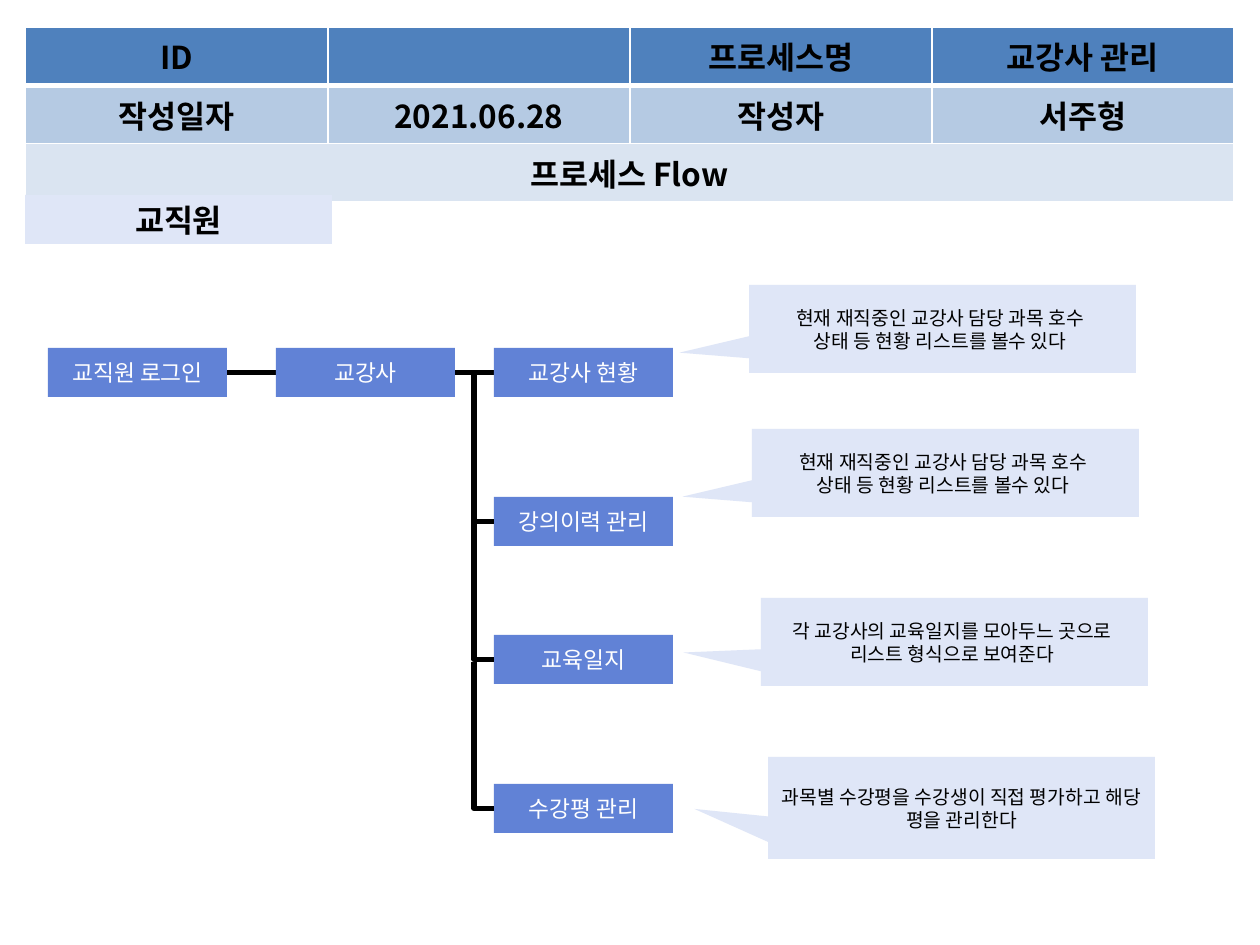
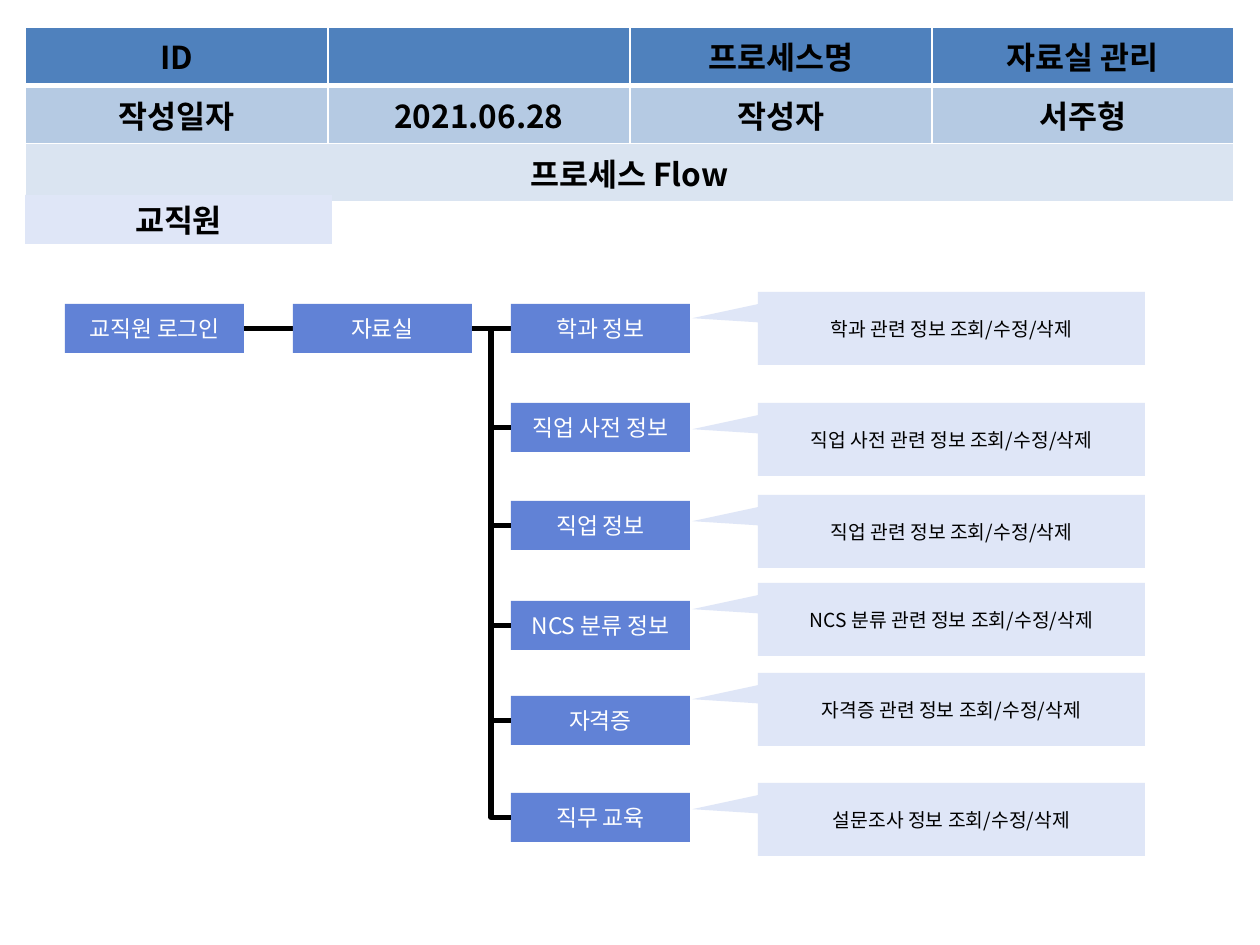
"""Build two process-flow slides for the staff area of a school system."""
from dataclasses import dataclass

from lxml import etree
from pptx import Presentation
from pptx import util as u
from pptx.dml.color import RGBColor
from pptx.enum import shapes, text
from pptx.oxml import ns

PX = 914400 // 126


@dataclass(frozen=True)
class Theme:
    font: str = "Noto Sans CJK KR"
    rows: tuple = ("4F81BD", "B5CAE3", "DAE4F1")
    pale: str = "DFE6F7"
    box: str = "6182D6"
    dark: str = "000000"
    light: str = "FFFFFF"
    title_size: int = 18
    box_size: int = 13
    note_size: int = 11
    line: int = 3


T = Theme()


def write(tf, lines, size, color, bold=False):
    tf.word_wrap = True
    for i, line in enumerate(lines):
        p = tf.paragraphs[0] if i == 0 else tf.add_paragraph()
        p.text = line
        p.alignment = text.PP_ALIGN.CENTER
        p.font.size = u.Pt(size)
        p.font.bold = bold
        p.font.color.rgb = RGBColor.from_string(color)
        p.font.name = T.font
        etree.SubElement(p.font._rPr, ns.qn("a:ea"), typeface=T.font)


def add_block(kind, box, fill, lines, size, color, bold=False):
    sp = s.shapes.add_shape(kind, *(v * PX for v in box))
    sp.shadow.inherit = False
    sp.fill.solid()
    sp.fill.fore_color.rgb = RGBColor.from_string(fill)
    sp.line.fill.background()
    sp.text_frame.vertical_anchor = text.MSO_ANCHOR.MIDDLE
    write(sp.text_frame, lines, size, color, bold)
    return sp


RECT = shapes.MSO_SHAPE.RECTANGLE
CALLOUT = shapes.MSO_SHAPE.RECTANGULAR_CALLOUT
BOX_W, BOX_H = 179, 49
NOTE_W = 387
STEP, BRANCH_X, TRUNK_GAP, MAX_DROP = 228, 446, 20, 147
COLUMNS = (129, 174, 302, 302, 302)

status = ["현재 재직중인 교강사 담당 과목 호수 ", "상태 등 현황 리스트를 볼수 있다 "]
diary = ["각 교강사의 교육일지를 모아두느 곳으로 ", "리스트 형식으로 보여준다 "]
review = ["과목별 수강평을 수강생이 직접 평가하고 해당 평을 관리한다"]
actions = "정보 조회/수정/삭제"

flows = [
    dict(
        name="교강사 관리", menu="교강사", left=48,
        branches=[(348, "교강사 현황"), (497, "강의이력 관리"),
                  (635, "교육일지"), (784, "수강평 관리")],
        notes=[(749, 285, 88, (-0.68, 0.27), status),
               (752, 429, 88, (-0.68, 0.27), status),
               (761, 598, 88, (-0.7, 0.12), diary),
               (768, 757, 102, (-0.69, 0.01), review)],
    ),
    dict(
        name="자료실 관리", menu="자료실", left=65,
        branches=[(304, "학과 정보"), (403, "직업 사전 정보"), (501, "직업 정보"),
                  (601, "NCS 분류 정보"), (696, "자격증"), (793, "직무 교육")],
        notes=[(758, y, 73, (-0.67, -0.14), [f"{topic} {actions}"])
               for y, topic in [(292, "학과 관련"), (403, "직업 사전 관련"),
                                (495, "직업 관련"), (583, "NCS 분류 관련"),
                                (673, "자격증 관련"), (783, "설문조사")]],
    ),
]

prs = Presentation()
prs.slide_width, prs.slide_height = u.Inches(10), u.Inches(7.5)

for flow in flows:
    s = prs.slides.add_slide(prs.slide_layouts[6])
    left, branches = flow["left"], flow["branches"]
    branch_left = left + BRANCH_X
    trunk = branch_left - TRUNK_GAP
    top = branches[0][0]
    middle = top + BOX_H / 2

    links = [s.shapes.add_connector(
        shapes.MSO_CONNECTOR.STRAIGHT,
        *(int(v * PX) for v in (left + BOX_W, middle, branch_left, middle)))]

    tbl = s.shapes.add_table(3, 5, 25 * PX, 27 * PX, sum(COLUMNS) * PX, 156 * PX).table
    tbl.first_row = tbl.horz_banding = False
    for col, width in zip(tbl.columns, COLUMNS):
        col.width = width * PX
    labels = [
        ["ID", "", "", "프로세스명", flow["name"]],
        ["작성일자", "", "2021.06.28", "작성자", "서주형"],
        ["프로세스 Flow", "", "", "", ""],
    ]
    for r, row in enumerate(labels):
        for c, label in enumerate(row):
            cell = tbl.cell(r, c)
            write(cell.text_frame, [label], T.title_size, T.dark, True)
            cell.fill.solid()
            cell.fill.fore_color.rgb = RGBColor.from_string(T.rows[r])
            thick = {0: "lnB", 1: "lnT"}.get(r)
            for i, edge in enumerate(("lnL", "lnR", "lnT", "lnB")):
                width = u.Pt(3 if edge == thick else 1)
                ln = etree.Element(ns.qn(f"a:{edge}"), w=str(width))
                fill = etree.SubElement(ln, ns.qn("a:solidFill"))
                etree.SubElement(fill, ns.qn("a:srgbClr"), val=T.light)
                cell._tc.get_or_add_tcPr().insert(i, ln)
    for r, last in enumerate((1, 1, 4)):
        tbl.cell(r, 0).merge(tbl.cell(r, last))

    add_block(RECT, (25, 195, 307, 49), T.pale, ["교직원"], T.title_size, T.dark, True)

    boxes = [(left, top, "교직원 로그인"), (left + STEP, top, flow["menu"])]
    boxes += [(branch_left, y, label) for y, label in branches]
    for x, y, label in boxes:
        add_block(RECT, (x, y, BOX_W, BOX_H), T.box, [label], T.box_size, T.light)

    for y, _ in branches[1:]:
        end = y + BOX_H / 2
        drop = min(MAX_DROP, end - middle)
        cx, cy = trunk + TRUNK_GAP / 2, end - drop / 2
        bent = s.shapes.add_connector(
            shapes.MSO_CONNECTOR.ELBOW,
            *(int(v * PX) for v in (cx + drop / 2, cy - TRUNK_GAP / 2,
                                    cx - drop / 2, cy + TRUNK_GAP / 2)))
        bent._element.spPr.find(ns.qn("a:xfrm")).set("rot", "16200000")
        bent._element.spPr.find(ns.qn("a:prstGeom")).set("prst", "bentConnector2")
        links.append(bent)

    for link in links:
        link.line.width = u.Pt(T.line)
        link.line.color.rgb = RGBColor.from_string(T.dark)
        etree.SubElement(link._element.spPr, ns.qn("a:effectLst"))

    for x, y, height, tip, lines in flow["notes"]:
        sp = add_block(CALLOUT, (x, y, NOTE_W, height), T.pale, lines, T.note_size, T.dark)
        sp.adjustments[0], sp.adjustments[1] = tip

prs.save("out.pptx")
